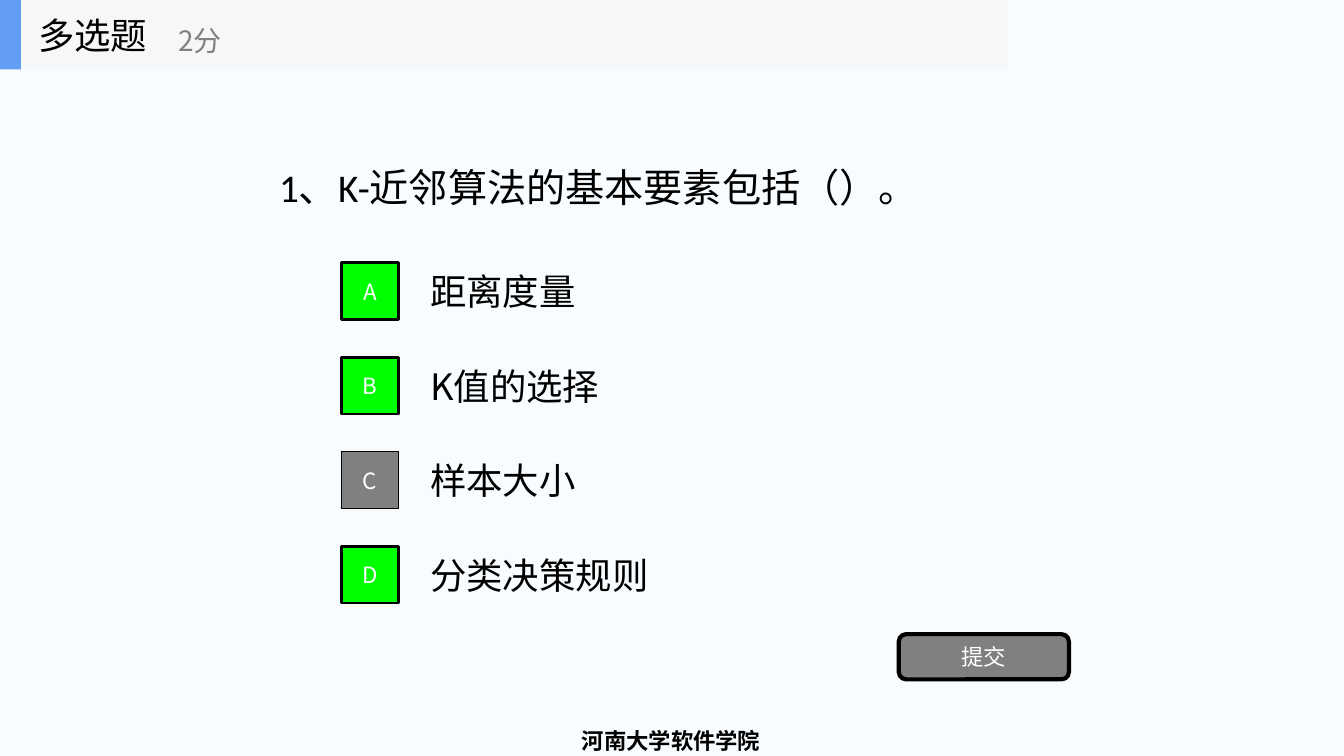
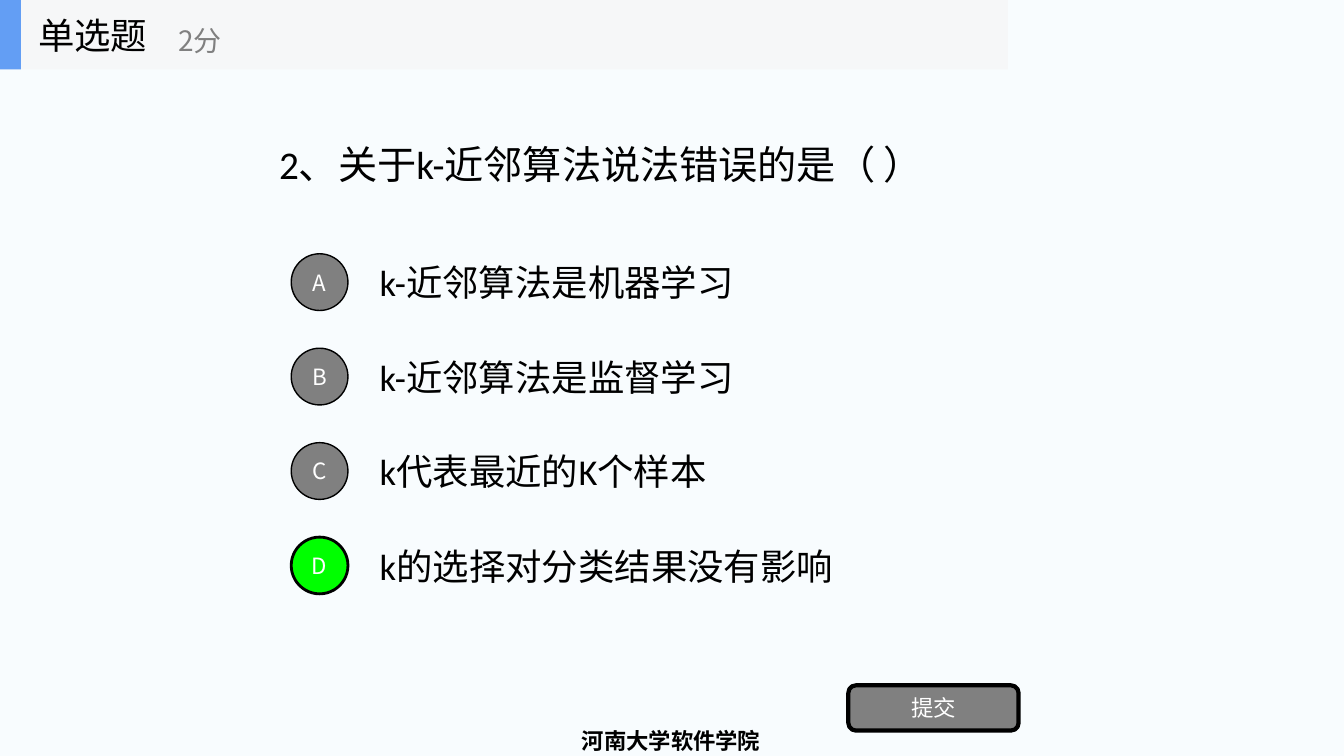
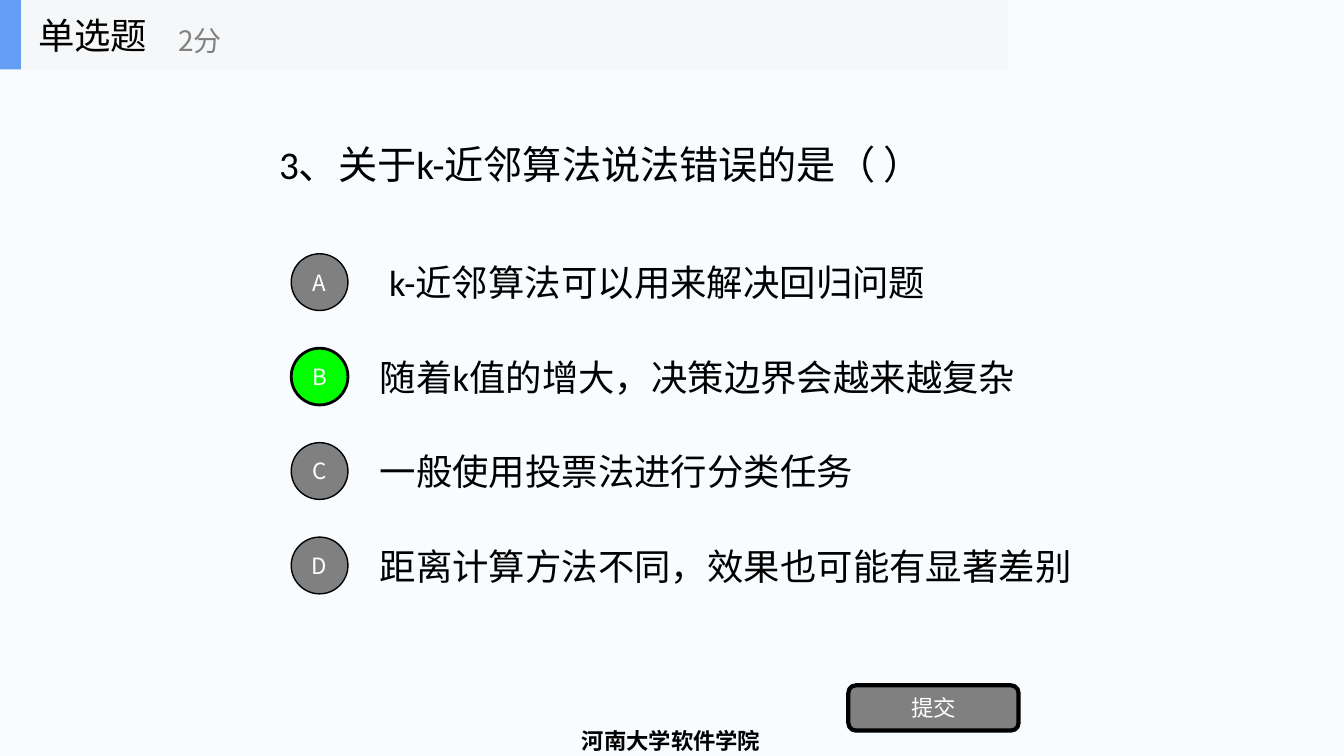
from lxml import etree
from pptx import Presentation
from pptx.dml.color import RGBColor
from pptx.enum.shapes import MSO_SHAPE as Shape
from pptx.enum.text import MSO_ANCHOR as Anchor, MSO_AUTO_SIZE as AutoSize, PP_ALIGN as Align
from pptx.oxml.ns import qn
from pptx.util import Cm, Pt

# Colours and fonts
PAPER = RGBColor(0xF8, 0xFC, 0xFE)
BAND = RGBColor(0xF6, 0xF7, 0xF8)
BLUE = RGBColor(0x63, 0x9E, 0xF4)
GREEN = RGBColor(0x00, 0xFF, 0x00)
GRAY = RGBColor(0x80, 0x80, 0x80)
BLACK = RGBColor(0x00, 0x00, 0x00)
WHITE = RGBColor(0xFF, 0xFF, 0xFF)
HAN, LATIN, FOOT = "Noto Sans CJK SC", "Calibri", "DejaVu Sans"

# Content: an option is its text, with an optional shift and width of its box
FOOTER = "河南大学软件学院"
SCORE = "2分"
SUBMIT = "提交"
MULTIPLE = dict(kind="多选题", badge=Shape.RECTANGLE, font=HAN, question_top=1.75,
                left=10.59, top=6.45, submit_top=15.98)
SINGLE = dict(kind="单选题", badge=Shape.OVAL, font=LATIN, question_top=1.17,
              left=9.32, top=6.22, submit_top=17.27)
QUIZZES = [
    (MULTIPLE, "1、K-近邻算法的基本要素包括（）。", "ABD",
     [("距离度量",), ("K值的选择",), ("样本大小",), ("分类决策规则",)]),
    (SINGLE, "2、关于k-近邻算法说法错误的是（ ）", "D",
     [("k-近邻算法是机器学习",), ("k-近邻算法是监督学习",),
      ("k代表最近的K个样本",), ("k的选择对分类结果没有影响",)]),
    (SINGLE, "3、关于k-近邻算法说法错误的是（ ）", "B",
     [("k-近邻算法可以用来解决回归问题", 0.24),
      ("随着k值的增大，决策边界会越来越复杂",),
      ("一般使用投票法进行分类任务",),
      ("距离计算方法不同，效果也可能有显著差别", 0, 18.85)]),
]

# Geometry in centimetres
PITCH = 2.38
OPTION_WIDTH, OPTION_HEIGHT = 17.78, 1.78
BADGE, BADGE_GAP = 1.43, 1.98
BAND_HEIGHT = 1.75
SUBMIT_SHIFT = 12.06


def write(shape, text, size, font=HAN, color=BLACK, bold=False,
          align=Align.LEFT, anchor=Anchor.MIDDLE):
    frame = shape.text_frame
    for name, value in dict(word_wrap=True, auto_size=AutoSize.NONE,
                            vertical_anchor=anchor).items():
        setattr(frame, name, value)
    para = frame.paragraphs[0]
    para.alignment = align
    span = para.add_run()
    span.text = text
    for name, value in dict(name=font, size=Pt(size), bold=bold).items():
        setattr(span.font, name, value)
    span.font.color.rgb = color
    latin = span.font._element.find(qn("a:latin"))
    east_asian = etree.Element(qn("a:ea"), typeface=HAN)
    latin.addnext(east_asian)


def add_text(shapes, at, text, size, **style):
    box = shapes.add_textbox(*map(Cm, at))
    write(box, text, size, **style)
    return box


def add_block(shapes, kind, at, fill, line=0, text=None):
    block = shapes.add_shape(kind, *map(Cm, at))
    block.shadow.inherit = False
    block.fill.solid()
    block.fill.fore_color.rgb = fill
    if line:
        block.line.color.rgb = BLACK
        block.line.width = Pt(line)
    else:
        block.line.fill.background()
    if text:
        write(block, text, 16, color=WHITE, align=Align.CENTER)


def add_header(page, kind):
    header = page.shapes.add_group_shape().shapes
    add_block(header, Shape.RECTANGLE, (0, 0, 25.4, BAND_HEIGHT), BAND)
    add_block(header, Shape.RECTANGLE, (0, 0, 0.53, BAND_HEIGHT), BLUE)
    add_text(header, (0.71, 0, 5.28, BAND_HEIGHT), kind, 26)
    add_text(header, (4.24, 0.3, 6.35, 1.42), SCORE, 20, color=GRAY)


def add_quiz(deck, layout, style, question, answers, options):
    page = deck.slides.add_slide(layout)
    title = page.shapes.title
    title.left, title.top, title.width, title.height = map(
        Cm, (6.78, style["question_top"], 20.32, 5.94))
    write(title, question, 28, font=LATIN)

    # Options and their badges
    left = style["left"]
    tops = [style["top"] + PITCH * row for row in range(len(options))]
    for top, (text, *extra) in zip(tops, options):
        shift = extra[0] if extra else 0
        width = extra[1] if len(extra) > 1 else OPTION_WIDTH
        add_text(page.shapes, (left + shift, top, width, OPTION_HEIGHT),
                 text, 26, font=style["font"])
    for top, letter in zip(tops, "ABCD"):
        right = letter in answers
        add_block(page.shapes, style["badge"],
                  (left - BADGE_GAP, top + (OPTION_HEIGHT - BADGE) / 2, BADGE, BADGE),
                  GREEN if right else GRAY, 2 if right else 1, letter)

    # Submit button
    add_block(page.shapes, Shape.ROUNDED_RECTANGLE,
              (left + SUBMIT_SHIFT, style["submit_top"], 4.29, 1.14), GRAY, 3, SUBMIT)
    add_header(page, style["kind"])
    return page


def main():
    deck = Presentation()
    deck.slide_width, deck.slide_height = Cm(33.87), Cm(19.05)
    layout = deck.slide_layouts.get_by_name("Title Only")

    # Shared background
    backdrop = deck.slide_master.background.fill
    backdrop.solid()
    backdrop.fore_color.rgb = PAPER

    pages = [add_quiz(deck, layout, *quiz) for quiz in QUIZZES]

    # Shared footer, moved from the first page to the layout
    footer = add_text(pages[0].shapes, (12.52, 18.21, 8.79, 0.84), FOOTER, 16,
                      font=FOOT, bold=True, align=Align.CENTER, anchor=Anchor.TOP)
    layout.shapes._spTree.append(footer._element)
    deck.save("out.pptx")


if __name__ == "__main__":
    main()
